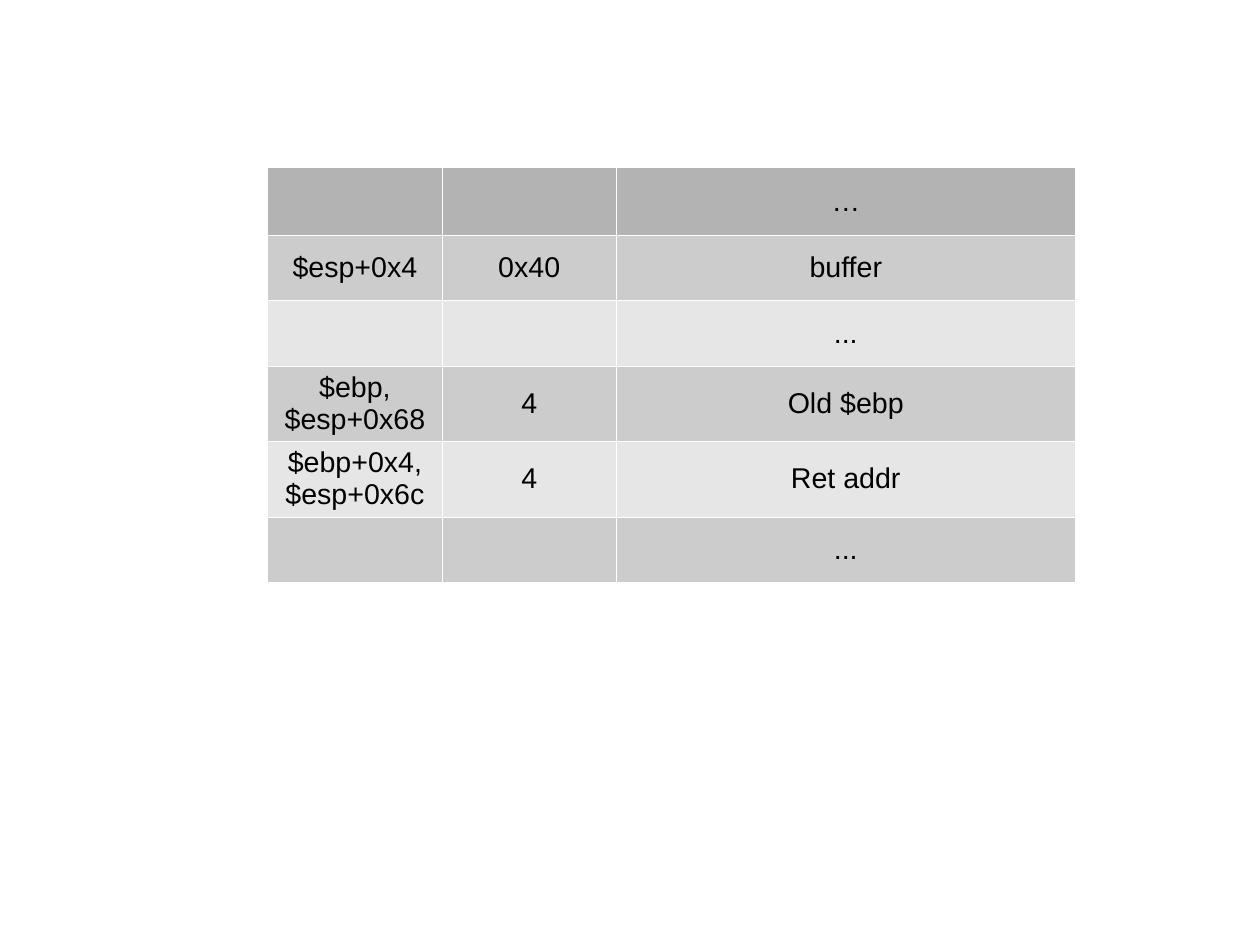
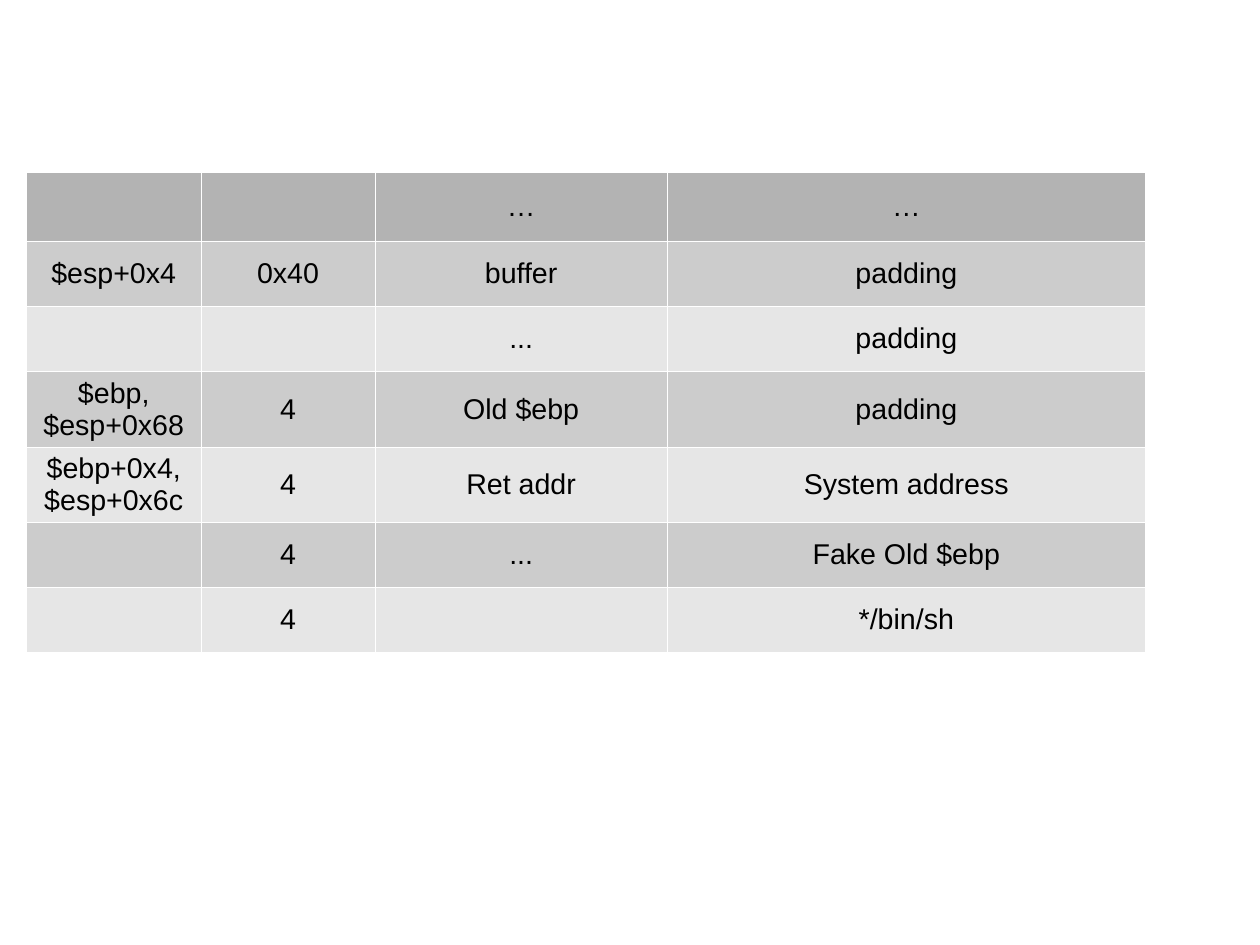
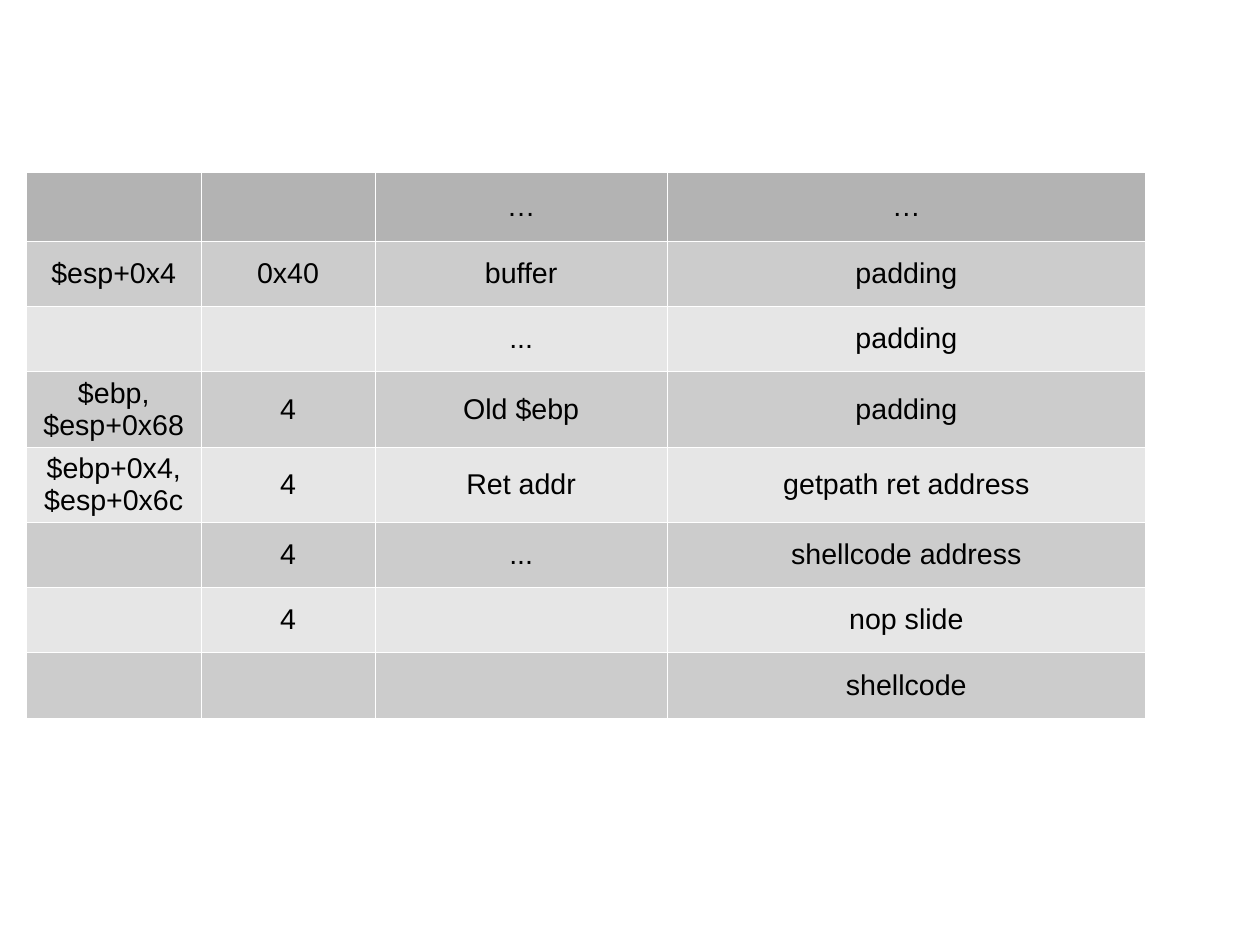
"""Build three slides of stack layout tables for a buffer overflow."""
from lxml.etree import SubElement
from pptx import Presentation
from pptx.dml.color import RGBColor
from pptx.enum.text import MSO_ANCHOR, PP_ALIGN
from pptx.oxml.ns import qn
from pptx.util import Cm, Inches, Pt

COLORS = {
    "header": "B3B3B3",
    "odd": "CCCCCC",
    "even": "E6E6E6",
    "border": "FFFFFF",
    "text": "000000",
}

FRAME = [
    ("", "", "…"),
    ("$esp+0x4", "0x40", "buffer"),
    ("", "", "..."),
    ("$ebp, $esp+0x68", "4", "Old $ebp"),
    ("$ebp+0x4, $esp+0x6c", "4", "Ret addr"),
]
ABOVE_FRAME = [("", "4", "..."), ("", "4", ""), ("", "", "")]
PADDING = ["…", "padding", "padding", "padding"]
SYSTEM_PAYLOAD = PADDING + ["System address", "Fake Old $ebp", "*/bin/sh"]
SHELLCODE_PAYLOAD = PADDING + [
    "getpath ret address", "shellcode address", "nop slide", "shellcode"]


class StackDeck:
    """Hold the deck, its style and the current slide."""

    font = "Arial"
    size = Pt(18)
    border_width = Pt(0.06)
    header_height = 0.6
    row_height = 0.57
    wrapped_height = 0.66

    def __init__(self):
        self.deck = Presentation()
        self.deck.slide_width = Cm(28)
        self.deck.slide_height = Cm(21)
        self.slide = None

    def add_slide(self):
        self.slide = self.deck.slides.add_slide(self.deck.slide_layouts[6])

    def height_of(self, index, row):
        if index == 0:
            return self.header_height
        return self.wrapped_height if " " in row[0] else self.row_height

    def add_table(self, left, top, widths, rows):
        heights = [self.height_of(index, row) for index, row in enumerate(rows)]
        table = self.slide.shapes.add_table(
            len(rows), len(widths), Inches(left), Inches(top),
            Inches(sum(widths)), Inches(sum(heights))).table
        table.first_row = table.horz_banding = False
        for column, width in zip(table.columns, widths):
            column.width = Inches(width)
        for index, (row, height) in enumerate(zip(rows, heights)):
            table.rows[index].height = Inches(height)
            band = "header" if index == 0 else "odd" if index % 2 else "even"
            for cell, text in zip(table.rows[index].cells, row):
                self.format_cell(cell, text, COLORS[band])

    def format_cell(self, cell, text, color):
        self.add_borders(cell)
        cell.fill.solid()
        cell.fill.fore_color.rgb = RGBColor.from_string(color)
        cell.vertical_anchor = MSO_ANCHOR.MIDDLE
        para = cell.text_frame.paragraphs[0]
        para.alignment = PP_ALIGN.CENTER
        if text:
            span = para.add_run()
            span.text = text
            span.font.name = self.font
            span.font.size = self.size
            span.font.color.rgb = RGBColor.from_string(COLORS["text"])

    def add_borders(self, cell):
        properties = cell._tc.get_or_add_tcPr()
        for side in ("lnL", "lnR", "lnT", "lnB"):
            line = SubElement(properties, qn(f"a:{side}"), w=str(self.border_width))
            fill = SubElement(line, qn("a:solidFill"))
            SubElement(fill, qn("a:srgbClr"), val=COLORS["border"])


def main():
    stack = StackDeck()
    stack.add_slide()
    stack.add_table(2.34, 1.46, (1.53, 1.52, 4.02), FRAME + [("", "", "...")])
    for payload in (SYSTEM_PAYLOAD, SHELLCODE_PAYLOAD):
        rows = [(*row, entry) for row, entry in zip(FRAME + ABOVE_FRAME, payload)]
        stack.add_slide()
        stack.add_table(0.23, 1.51, (1.53, 1.52, 2.56, 4.18), rows)
    stack.deck.save("out.pptx")


if __name__ == "__main__":
    main()
